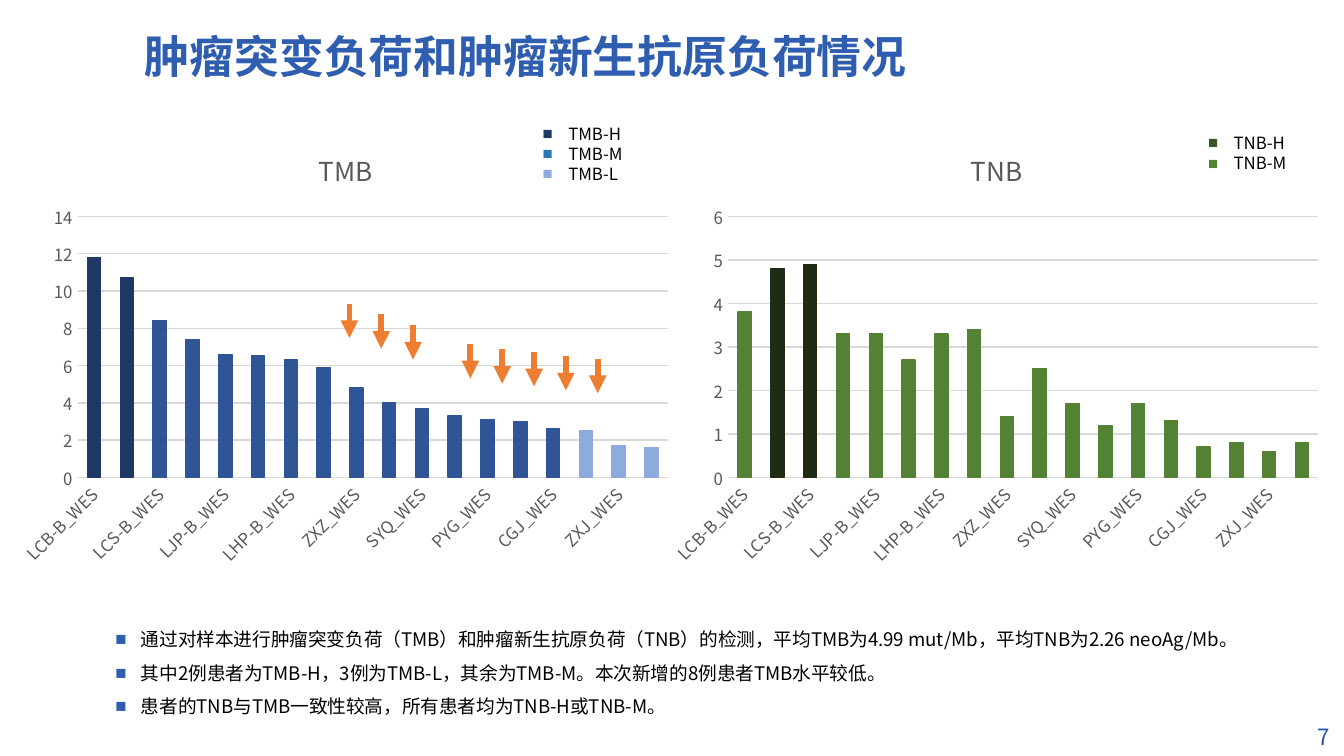
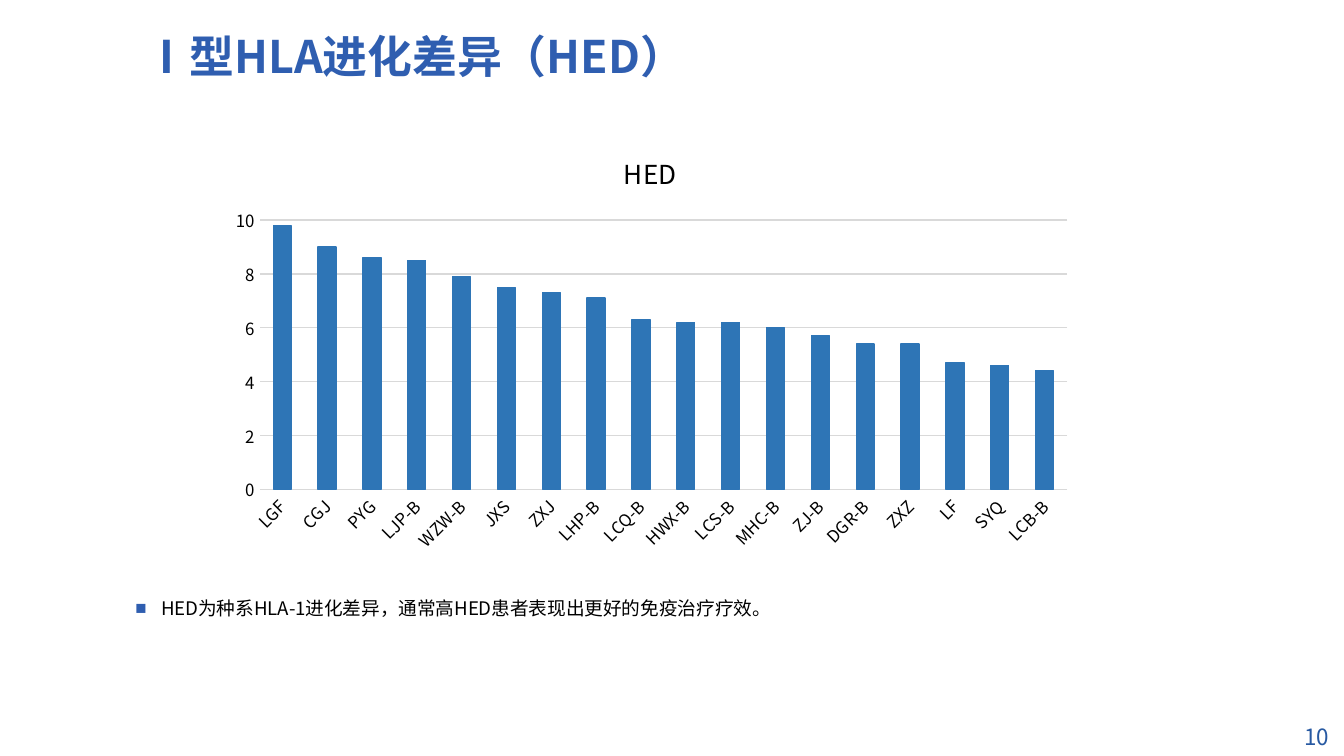
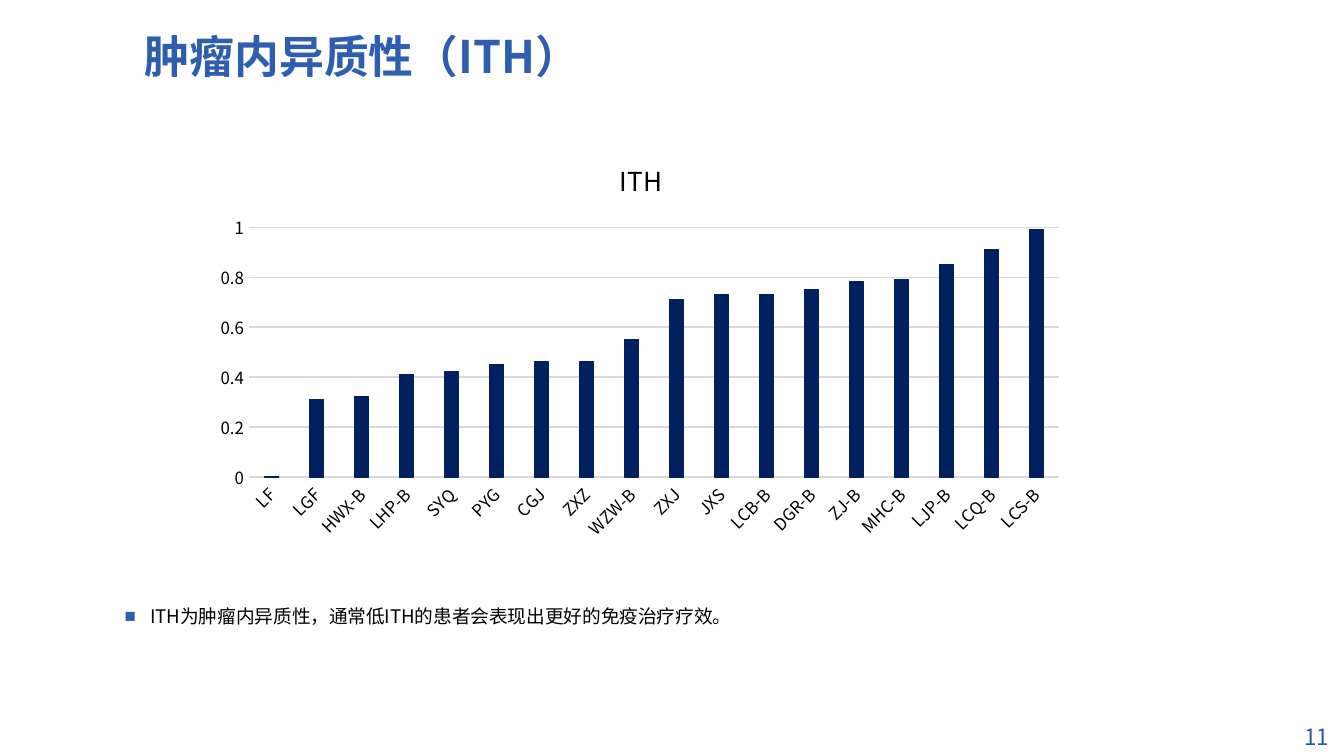
from lxml import etree
from pptx import Presentation
from pptx import util as u
from pptx.chart.data import CategoryChartData
from pptx.dml.color import RGBColor
from pptx.enum import chart as ch, shapes, text
from pptx.oxml import parse_xml
from pptx.oxml.ns import qn, nsdecls

FONT = "Noto Sans CJK SC"
BLUE = RGBColor(0x2F, 0x5E, 0xB0)
PAGE = RGBColor(0x27, 0x59, 0xA2)
BLACK = RGBColor(0, 0, 0)
GREY = RGBColor(0x59, 0x59, 0x59)
GRID = RGBColor(0xD9, 0xD9, 0xD9)
ORANGE = RGBColor(0xED, 0x7D, 0x31)
TMB_H = RGBColor(0x20, 0x38, 0x64)
TMB_M = RGBColor(0x2E, 0x75, 0xB6)
TMB_L = RGBColor(0x8F, 0xAA, 0xDC)
TMB_BAR = RGBColor(0x2F, 0x55, 0x97)
TNB_H = RGBColor(0x38, 0x57, 0x23)
TNB_M = RGBColor(0x54, 0x82, 0x35)
TNB_TOP = RGBColor(0x1D, 0x2C, 0x12)
NAVY = RGBColor(0x00, 0x20, 0x60)

WIDTH, HEIGHT = u.Inches(10), u.Inches(5.625)
CELL = WIDTH / 100

SAMPLES = ("LCB-B DGR-B LCS-B ZJ-B LJP-B LCQ-B LHP-B HWX-B ZXZ "
           "JXS SYQ WZW-B PYG LF CGJ LGF ZXJ MHC-B").split()
WES = [f"{name}_WES" for name in SAMPLES]
TMB = [11.8, 10.7, 8.4, 7.4, 6.6, 6.5, 6.3, 5.9, 4.8,
       4, 3.7, 3.3, 3.1, 3, 2.6, 2.5, 1.7, 1.6]
TNB = [3.8, 4.8, 4.9, 3.3, 3.3, 2.7, 3.3, 3.4, 1.4,
       2.5, 1.7, 1.2, 1.7, 1.3, 0.7, 0.8, 0.6, 0.8]
HED = {"LGF": 9.8, "CGJ": 9, "PYG": 8.6, "LJP-B": 8.5, "WZW-B": 7.9, "JXS": 7.5,
       "ZXJ": 7.3, "LHP-B": 7.1, "LCQ-B": 6.3, "HWX-B": 6.2, "LCS-B": 6.2,
       "MHC-B": 6, "ZJ-B": 5.7, "DGR-B": 5.4, "ZXZ": 5.4, "LF": 4.7,
       "SYQ": 4.6, "LCB-B": 4.4}
ITH = {"LF": 0, "LGF": 0.31, "HWX-B": 0.32, "LHP-B": 0.41, "SYQ": 0.42,
       "PYG": 0.45, "CGJ": 0.46, "ZXZ": 0.46, "WZW-B": 0.55, "ZXJ": 0.71,
       "JXS": 0.73, "LCB-B": 0.73, "DGR-B": 0.75, "ZJ-B": 0.78, "MHC-B": 0.79,
       "LJP-B": 0.85, "LCQ-B": 0.91, "LCS-B": 0.99}


def cells(*counts):
    """Turn counts of grid cells into lengths."""
    return [u.Emu(round(n * CELL)) for n in counts]


def style(font, size, color, bold=False):
    """Set the face, size, colour and weight of a font."""
    font.name, font.size, font.bold = FONT, u.Pt(size), bold
    font.color.rgb = color


def mark(para, color):
    """Give a paragraph a hanging square bullet."""
    props = para._p.get_or_add_pPr()
    indent = u.Inches(0.19)
    props.set("marL", str(indent))
    props.set("indent", str(-indent))
    fill = etree.SubElement(props, qn("a:buClr"))
    etree.SubElement(fill, qn("a:srgbClr"), val=str(color))
    etree.SubElement(props, qn("a:buFont"), typeface="Arial")
    etree.SubElement(props, qn("a:buChar"), char="■")


def write(slide, box, lines, size=10, color=BLACK, bold=False, space=None,
          align=None, anchor=text.MSO_ANCHOR.TOP, marks=()):
    """Add a text box with one paragraph a line."""
    frame = slide.shapes.add_textbox(*cells(*box)).text_frame
    frame.word_wrap = True
    frame.vertical_anchor = anchor
    for i, line in enumerate(lines):
        para = frame.paragraphs[0] if i == 0 else frame.add_paragraph()
        para.line_spacing, para.alignment = space, align
        run = para.add_run()
        run.text = line
        style(run.font, size, color, bold)
        for name in ("a:ea", "a:cs"):
            etree.SubElement(run._r.get_or_add_rPr(), qn(name), typeface=FONT)
        if marks:
            mark(para, marks[i])


def page(deck, title, number):
    """Add a slide with its title and page number."""
    slide = deck.slides.add_slide(deck.slide_layouts[6])
    middle = text.MSO_ANCHOR.MIDDLE
    write(slide, (90.8, 53.4, 9.1, 2.8), [str(number)], size=12, color=PAGE,
          align=text.PP_ALIGN.RIGHT, anchor=middle)
    write(slide, (9.8, 1.4, 74, 5.9), [title], size=24, color=BLUE, bold=True,
          space=0.9, anchor=middle)
    return slide


def notes(slide, box, lines):
    """Add the remarks below a chart."""
    write(slide, box, lines, space=1.5, marks=[BLUE] * len(lines))


def key(slide, box, items):
    """Add a colour key from names and colours."""
    write(slide, box, list(items), size=9, marks=list(items.values()))


def paint(part, color):
    """Fill and outline a bar or series in one colour."""
    part.format.fill.solid()
    part.format.fill.fore_color.rgb = color
    part.format.line.color.rgb = color
    part.format.line.width = u.Pt(0.75)


def rule(line, color=None):
    """Draw a thin line, or none without a colour."""
    if color is None:
        line.fill.background()
    else:
        line.color.rgb, line.width = color, u.Pt(0.75)


def place(plot, shares):
    """Fix the inner plot area as shares of the chart."""
    old = plot.find(qn("c:layout"))
    if old is not None:
        plot.remove(old)
    sides = "".join(f'<c:{n} val="{v}"/>' for n, v in zip("xywh", shares))
    plot.insert(0, parse_xml(
        f'<c:layout {nsdecls("c")}><c:manualLayout><c:layoutTarget val="inner"/>'
        f'<c:xMode val="edge"/><c:yMode val="edge"/>{sides}'
        '</c:manualLayout></c:layout>'))


def bars(slide, box, title, names, vals, color, area, ink=BLACK, base=GRID,
         top=None, step=None, gap=150, lap=0, skip=1, fmt="General", points=None):
    """Add a column chart with a title and slanted labels."""
    data = CategoryChartData()
    data.categories = names
    data.add_series(title, vals)
    chart = slide.shapes.add_chart(
        ch.XL_CHART_TYPE.COLUMN_CLUSTERED, *cells(*box), data).chart
    style(chart.font, 10, BLACK)
    chart.has_legend = False
    head = chart.chart_title.text_frame
    head.text = title
    style(head.paragraphs[0].runs[0].font, 14, ink)
    plot = chart.plots[0]
    plot.gap_width, plot.overlap, plot.vary_by_categories = gap, lap, False
    paint(plot.series[0], color)
    for i, shade in (points or {}).items():
        paint(plot.series[0].points[i], shade)
    cat, val = chart.category_axis, chart.value_axis
    for axis in (cat, val):
        axis.major_tick_mark = axis.minor_tick_mark = ch.XL_TICK_MARK.NONE
        style(axis.tick_labels.font, 9, ink)
    rule(cat.format.line, base)
    rule(val.format.line)
    rule(val.major_gridlines.format.line, GRID)
    val.minimum_scale, val.maximum_scale, val.major_unit = 0, top, step
    val.tick_labels.number_format = fmt
    val.tick_labels.number_format_is_linked = False
    cat._element.find(qn("c:txPr")).find(qn("a:bodyPr")).set("rot", "-2700000")
    every = etree.Element(qn("c:tickLblSkip"), val=str(skip))
    cat._element.find(qn("c:noMultiLvlLbl")).addprevious(every)
    place(chart._chartSpace.chart.plotArea, area)


def arrow(slide, x, y):
    """Add a short orange arrow that points down."""
    line = slide.shapes.add_connector(
        shapes.MSO_CONNECTOR.STRAIGHT, *cells(x, y, x, y + 2.55))
    line.line.color.rgb, line.line.width = ORANGE, u.Pt(3.15)
    etree.SubElement(line.line._get_or_add_ln(), qn("a:tailEnd"), type="triangle")
    etree.SubElement(line._element.spPr, qn("a:effectLst"))


def load(deck):
    """Build the slide on mutation and neoantigen load."""
    slide = page(deck, "肿瘤突变负荷和肿瘤新生抗原负荷情况", 7)
    notes(slide, (7.6, 45.4, 86.2, 8.6), [
        "通过对样本进行肿瘤突变负荷（TMB）和肿瘤新生抗原负荷（TNB）的检测，"
        "平均TMB为4.99 mut/Mb，平均TNB为2.26 neoAg/Mb。",
        "其中2例患者为TMB-H，3例为TMB-L，其余为TMB-M。"
        "本次新增的8例患者TMB水平较低。",
        "患者的TNB与TMB一致性较高，所有患者均为TNB-H或TNB-M。"])
    key(slide, (39.4, 8.7, 8.7, 5.6), {"TMB-H": TMB_H, "TMB-M": TMB_M, "TMB-L": TMB_L})
    key(slide, (88.9, 9.4, 8.7, 4), {"TNB-H": TNB_H, "TNB-M": TNB_M})
    look = dict(area=(0.1, 0.2, 0.88, 0.58), ink=GREY, base=None, skip=2)
    bars(slide, (0.8, 9.4, 49.9, 33.5), "TMB", WES, TMB, TMB_BAR, top=14, step=2,
         points={0: TMB_H, 1: TMB_H, 15: TMB_L, 16: TMB_L, 17: TMB_L}, **look)
    bars(slide, (49.2, 9.4, 49.9, 33.5), "TNB", WES, TNB, TNB_M, top=6, step=1,
         points={1: TNB_TOP, 2: TNB_TOP}, **look)
    for left, tops in ((26, (22.6, 23.4, 24.2)), (35, (25.6, 26, 26.2, 26.5, 26.7))):
        for i, y in enumerate(tops):
            arrow(slide, left + 2.37 * i, y)


def main():
    """Build and save the deck."""
    deck = Presentation()
    deck.slide_width, deck.slide_height = WIDTH, HEIGHT
    load(deck)
    slide = page(deck, "Ⅰ型HLA进化差异（HED）", 10)
    notes(slide, (9.1, 43.1, 78.7, 3.5),
          ["HED为种系HLA-1进化差异，通常高HED患者表现出更好的免疫治疗疗效。"])
    bars(slide, (16.1, 9.7, 64.6, 31.8), "HED", list(HED), list(HED.values()), TMB_M,
         area=(0.05, 0.21, 0.93, 0.63), top=10, step=2, lap=-10)
    slide = page(deck, "肿瘤内异质性（ITH）", 11)
    notes(slide, (8.3, 43.7, 78.7, 3.5),
          ["ITH为肿瘤内异质性，通常低ITH的患者会表现出更好的免疫治疗疗效。"])
    bars(slide, (15.3, 10.2, 64.8, 30.5), "ITH", list(ITH), list(ITH.values()), NAVY,
         area=(0.05, 0.22, 0.93, 0.61), top=1, step=0.2, gap=219, lap=-27, fmt="@")
    deck.save("out.pptx")


if __name__ == "__main__":
    main()
